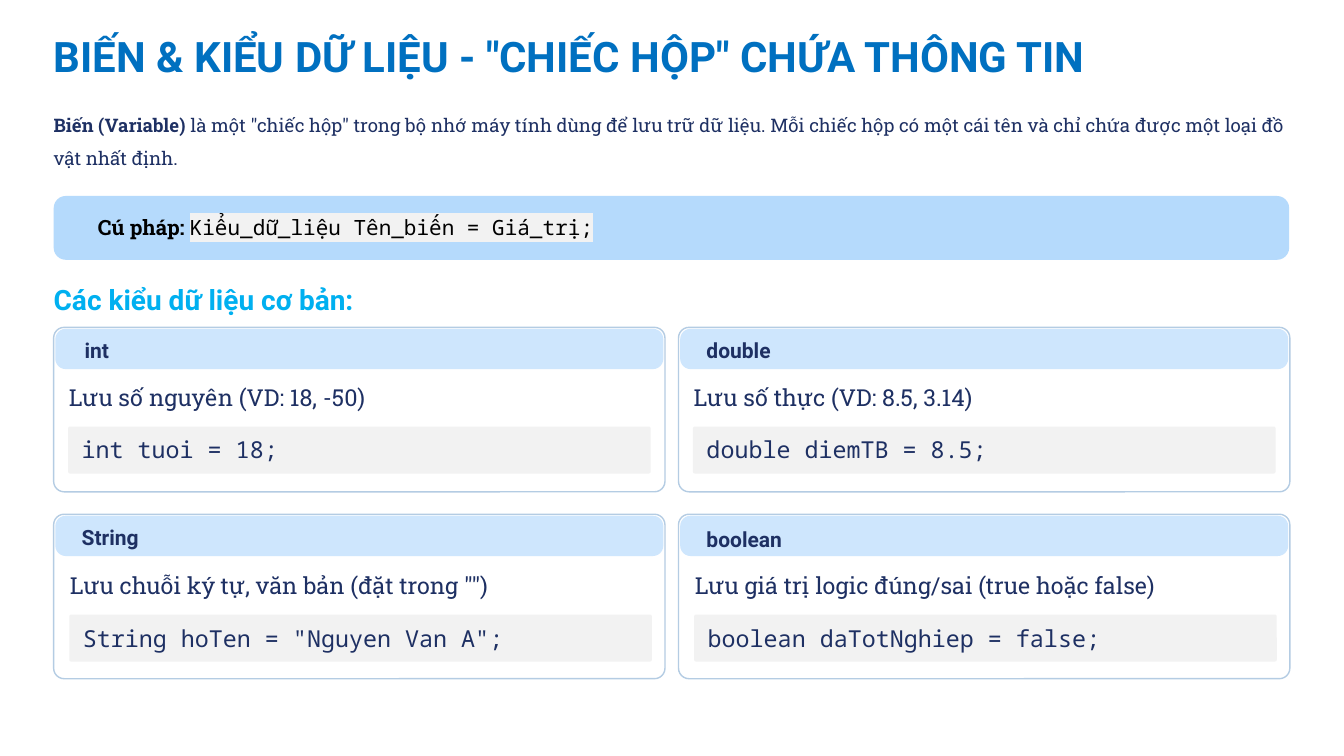
from lxml.etree import SubElement
from pptx import Presentation
from pptx.dml.color import RGBColor
from pptx.enum.shapes import MSO_SHAPE
from pptx.enum.text import MSO_ANCHOR, MSO_AUTO_SIZE, PP_ALIGN
from pptx.oxml.ns import qn
from pptx.util import Pt

WHITE = RGBColor(0xFF, 0xFF, 0xFF)
BLACK = RGBColor(0, 0, 0)
NAVY = RGBColor(0x1E, 0x30, 0x63)
TITLE_BLUE = RGBColor(0x00, 0x70, 0xC0)
HEADING_BLUE = RGBColor(0x00, 0xB0, 0xF0)
SYNTAX_BLUE = RGBColor(0xB5, 0xDA, 0xFC)
HEADER_BLUE = RGBColor(0xCE, 0xE6, 0xFD)
CARD_EDGE = RGBColor(0xB4, 0xCC, 0xE3)
CODE_GREY = RGBColor(0xF2, 0xF2, 0xF2)

SANS, SERIF, MONO = "Roboto", "Roboto Slab", "Noto Sans Mono"

MARGIN = 46
CONTENT_WIDTH = 1059
CARD_TOP = 280.6
CARD_WIDTH, CARD_HEIGHT = 524, 141
COLUMN_STEP, ROW_STEP = 535.6, 160.2

# Type name, label offset in the card, description, code
CARDS = [
    ("int", (26.6, 11), "Lưu số nguyên (VD: 18, -50)", "int tuoi = 18;"),
    ("double", (24, 11.7), "Lưu số thực (VD: 8.5, 3.14)", "double diemTB = 8.5;"),
    ("String", (24, 11.4), 'Lưu chuỗi ký tự, văn bản (đặt trong "")',
     'String hoTen = "Nguyen Van A";'),
    ("boolean", (24, 12.8), "Lưu giá trị logic đúng/sai (true hoặc false)",
     "boolean daTotNghiep = false;"),
]


def highlight(run, color):
    """Mark the run's background; its font colour must already be set."""
    properties = run.font._element
    mark = SubElement(properties, qn("a:highlight"))
    SubElement(mark, qn("a:srgbClr")).set("val", str(color))
    properties.find(qn("a:solidFill")).addnext(mark)


def fill_text(frame, runs, size, color, line_height):
    """Write one paragraph from (text, font, bold) runs; mono runs get a grey back."""
    frame.margin_left = frame.margin_right = 0
    frame.margin_top = frame.margin_bottom = 0
    frame.word_wrap = True
    frame.auto_size = MSO_AUTO_SIZE.NONE
    frame.vertical_anchor = MSO_ANCHOR.TOP
    paragraph = frame.paragraphs[0]
    paragraph.alignment = PP_ALIGN.LEFT
    paragraph.line_spacing = Pt(line_height)
    for text, font, bold in runs:
        run = paragraph.add_run()
        run.text = text
        run.font.name = font
        run.font.size = Pt(size)
        run.font.bold = bold
        run.font.color.rgb = color
        if font == MONO:
            highlight(run, CODE_GREY)


def add_text(slide, box, runs, size, color, line_height):
    textbox = slide.shapes.add_textbox(*map(Pt, box))
    fill_text(textbox.text_frame, runs, size, color, line_height)


def add_panel(slide, box, radius, fill, edge=None):
    panel = slide.shapes.add_shape(MSO_SHAPE.ROUNDED_RECTANGLE, *map(Pt, box))
    panel.adjustments[0] = radius
    panel.shadow.inherit = False
    panel.fill.solid()
    panel.fill.fore_color.rgb = fill
    if edge is None:
        panel.line.fill.background()
    else:
        panel.line.color.rgb = edge
        panel.line.width = Pt(1.2)


def add_title(slide, left, top, width, height):
    title = slide.shapes.title
    title.left, title.top, title.width, title.height = map(
        Pt, (left, top, width, height))
    heading = 'BIẾN & KIỂU DỮ LIỆU - "CHIẾC HỘP" CHỨA THÔNG TIN'
    fill_text(title.text_frame, [(heading, SANS, True)], 36, TITLE_BLUE, 38)


def add_intro(slide, left, top, width, height):
    definition = (' là một "chiếc hộp" trong bộ nhớ máy tính dùng để lưu trữ dữ liệu. '
                  "Mỗi chiếc hộp có một cái tên và chỉ chứa được một loại đồ vật nhất định.")
    add_text(slide, (left, top, width, height),
             [("Biến (Variable)", SERIF, True), (definition, SERIF, False)],
             16, NAVY, 28.5)


def add_syntax(slide, left, top, width, height):
    add_panel(slide, (left, top, width, height), 0.19, SYNTAX_BLUE)
    add_text(slide, (left + 38, top + 14.4, width - 49, 24.5),
             [("Cú pháp: ", SERIF, True),
              ("Kiểu_dữ_liệu Tên_biến = Giá_trị;", MONO, False)],
             18, BLACK, 23)


def add_card(slide, left, top, width, height, card, body_shift):
    """Draw one data type card; body_shift moves the description and code."""
    type_name, (label_x, label_y), description, code = card
    body_left, body_top = left + 13 + body_shift, top + body_shift
    body_width = width - 26
    add_panel(slide, (left, top, width, height), 0.064, WHITE, CARD_EDGE)
    add_panel(slide, (left + 1.4, top + 1.2, width - 2.8, 34.6), 0.26, HEADER_BLUE)
    add_text(slide, (left + label_x, top + label_y, 152, 19),
             [(type_name, SANS, True)], 18, NAVY, 19)
    add_text(slide, (body_left, body_top + 48.5, body_width, 23),
             [(description, SERIF, False)], 20, NAVY, 23)
    add_panel(slide, (body_left - 0.6, body_top + 85, body_width + 1.4, 40.3),
              0.043, CODE_GREY)
    add_text(slide, (body_left + 11, body_top + 93.8, body_width - 22, 23),
             [(code, MONO, False)], 20, NAVY, 23)


def add_type_grid(slide, left, top):
    add_text(slide, (left, top - 32.4, 300, 23),
             [("Các kiểu dữ liệu cơ bản:", SANS, True)], 24, HEADING_BLUE, 22.5)
    for index, card in enumerate(CARDS):
        row, column = divmod(index, 2)
        add_card(slide, left + column * COLUMN_STEP, top + row * ROW_STEP,
                 CARD_WIDTH, CARD_HEIGHT, card, body_shift=row)


def main():
    presentation = Presentation()
    presentation.slide_width, presentation.slide_height = Pt(1152), Pt(648)
    slide = presentation.slides.add_slide(presentation.slide_layouts[5])
    slide.background.fill.solid()
    slide.background.fill.fore_color.rgb = WHITE
    add_title(slide, MARGIN, 31, 900, 38)
    add_intro(slide, MARGIN, 88.5, CONTENT_WIDTH, 62.5)
    add_syntax(slide, MARGIN, 168, CONTENT_WIDTH, 54.7)
    add_type_grid(slide, MARGIN, CARD_TOP)
    presentation.save("out.pptx")


if __name__ == "__main__":
    main()
